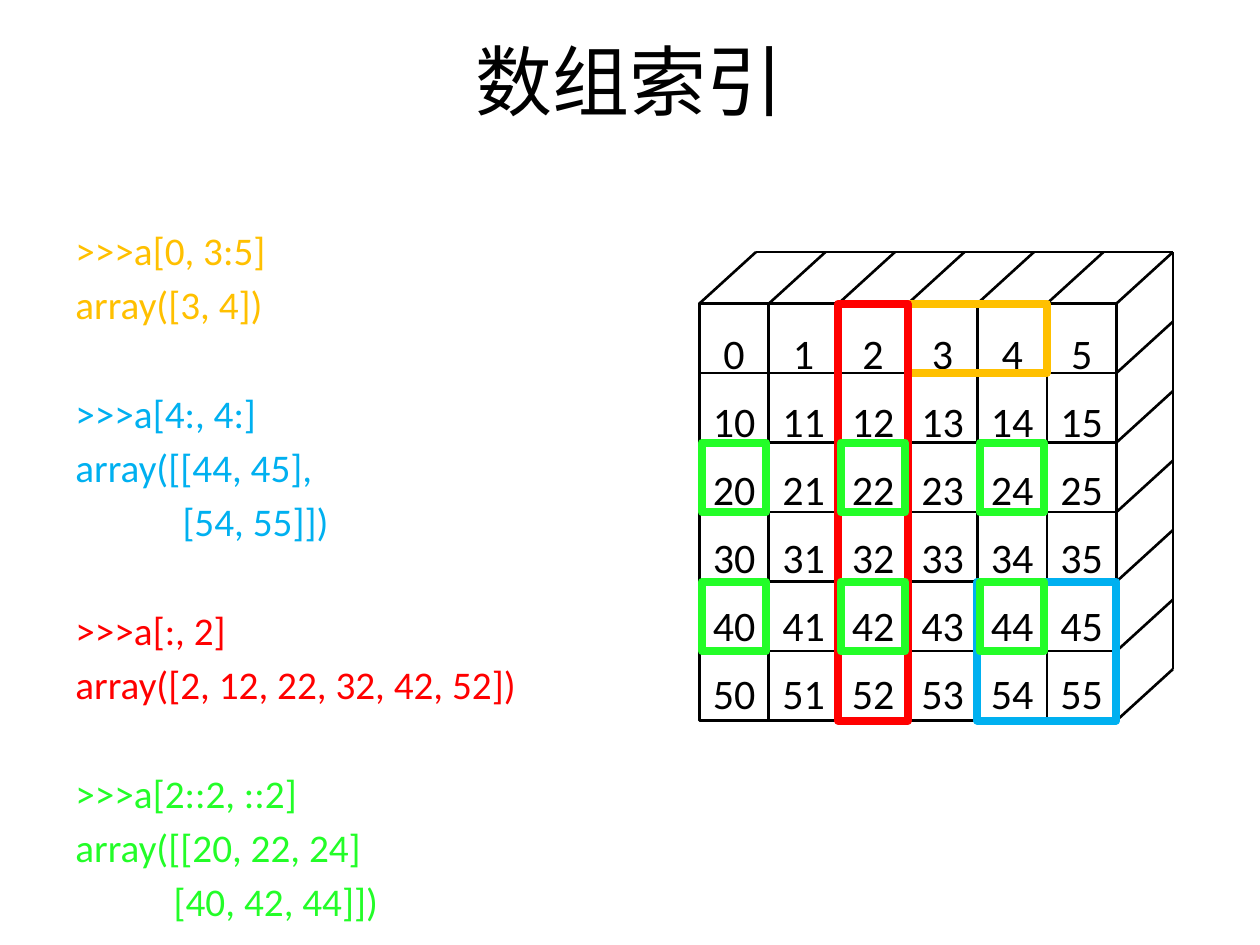
from lxml import etree
from pptx import Presentation
from pptx import util as u
from pptx.dml.color import RGBColor
from pptx.enum import shapes, text
from pptx.oxml import ns

BLACK = RGBColor(0x00, 0x00, 0x00)
ORANGE = RGBColor(0xFF, 0xC0, 0x00)
BLUE = RGBColor(0x00, 0xB0, 0xF0)
RED = RGBColor(0xFF, 0x00, 0x00)
GREEN = RGBColor(0x23, 0xFD, 0x28)

COUNT = 6
SIDE = 3.31
CELL = SIDE / COUNT
LEFT, TOP = 5.55, 2.41
RIGHT, BOTTOM = LEFT + SIDE, TOP + SIDE
DEPTH_X, DEPTH_Y = 0.45, 0.41

EXAMPLES = [
    (ORANGE, [(">>>a[0, 3:5]", 0), ("array([3, 4])", 0)]),
    (BLUE, [(">>>a[4:, 4:]", 0), ("array([[44, 45],", 0), ("[54, 55]])", 0.85)]),
    (RED, [(">>>a[:, 2]", 0), ("array([2, 12, 22, 32, 42, 52])", 0)]),
    (GREEN, [(">>>a[2::2, ::2]", 0), ("array([[20, 22, 24]", 0),
             ("[40, 42, 44]])", 0.78)]),
]
SELECTIONS = [(ORANGE, 0, 3, 1, 2), (RED, 0, 2, COUNT, 1), (BLUE, 4, 4, 2, 2)]


def apply(target, values):
    for name, value in values.items():
        setattr(target, name, value)


def inches(*lengths):
    return [u.Inches(length) for length in lengths]


def add_span(para, words, size, color):
    span = para.add_run()
    span.text = words
    apply(span.font, {"name": "Calibri", "size": u.Pt(size)})
    span.font.color.rgb = color


def add_title(page, words):
    title = page.shapes.title
    apply(title, dict(zip(("left", "top", "width", "height"),
                          inches(0.5, 0.01, 9, 1.25))))
    title.text_frame.vertical_anchor = text.MSO_ANCHOR.MIDDLE
    para = title.text_frame.paragraphs[0]
    para.alignment = text.PP_ALIGN.CENTER
    add_span(para, words, 44, BLACK)


def add_text_box(parent, left, top, width, height, margins):
    box = parent.shapes.add_textbox(*inches(left, top, width, height))
    frame = box.text_frame
    apply(frame, {"word_wrap": True, **margins})
    return frame


def next_para(frame, index):
    return frame.add_paragraph() if index else frame.paragraphs[0]


def add_examples(page):
    frame = add_text_box(page, 0.5, 1.75, 4.42, 4.95, {})
    lines = [(color, words, indent, group > 0 and row == 0)
             for group, (color, rows) in enumerate(EXAMPLES)
             for row, (words, indent) in enumerate(rows)]
    for index, (color, words, indent, starts_group) in enumerate(lines):
        para = next_para(frame, index)
        para.space_before = u.Pt(35.3 if starts_group else 4)
        if indent:
            para._p.get_or_add_pPr().set("marL", str(u.Inches(indent)))
        add_span(para, words, 22.4, color)


def add_line(parent, x1, y1, x2, y2):
    line = parent.shapes.add_connector(
        shapes.MSO_CONNECTOR.STRAIGHT, *inches(x1, y1, x2, y2))
    line.line.width = u.Pt(1.5)
    line.line.color.rgb = BLACK
    etree.SubElement(line._element.spPr, ns.qn("a:effectLst"))


def add_frame(parent, row, column, rows, columns, color, weight, inset=0):
    frame = parent.shapes.add_shape(
        shapes.MSO_SHAPE.RECTANGLE,
        *inches(LEFT + column * CELL + inset, TOP + row * CELL,
                columns * CELL - 2 * inset, rows * CELL))
    frame.shadow.inherit = False
    frame.fill.background()
    frame.line.width = u.Pt(weight)
    frame.line.color.rgb = color


def add_block(cube):
    add_frame(cube, 0, 0, COUNT, COUNT, BLACK, 2)
    for step in range(1, COUNT):
        offset = step * CELL
        add_line(cube, LEFT + offset, TOP, LEFT + offset, BOTTOM)
        add_line(cube, LEFT, TOP + offset, RIGHT, TOP + offset)
    back_top, back_right = TOP - DEPTH_Y, RIGHT + DEPTH_X
    add_line(cube, LEFT + DEPTH_X, back_top, back_right, back_top)
    add_line(cube, back_right, back_top, back_right, BOTTOM - DEPTH_Y)
    for step in range(COUNT + 1):
        x, y = LEFT + step * CELL, TOP + step * CELL
        add_line(cube, x + DEPTH_X, back_top, x, TOP)
        if step:
            add_line(cube, back_right, y - DEPTH_Y, RIGHT, y)


def add_tab_stops(para):
    stops = etree.SubElement(para._p.get_or_add_pPr(), ns.qn("a:tabLst"))
    for column in range(COUNT):
        position = u.Inches((column + 0.5) * CELL)
        etree.SubElement(stops, ns.qn("a:tab"), pos=str(position), algn="ctr")


def add_numbers(cube):
    frame = add_text_box(cube, LEFT, TOP, SIDE, SIDE,
                         {"margin_left": 0, "margin_right": 0})
    for row in range(COUNT):
        para = next_para(frame, row)
        para.line_spacing = 1.35
        add_tab_stops(para)
        numbers = "".join(f"\t{row * 10 + column}" for column in range(COUNT))
        add_span(para, numbers, 24, BLACK)


def add_selections(cube):
    for color, row, column, rows, columns in SELECTIONS:
        add_frame(cube, row, column, rows, columns, color, 4.5)
    for row in range(2, COUNT, 2):
        for column in range(0, COUNT, 2):
            add_frame(cube, row, column, 1, 1, GREEN, 4.5, inset=0.02)


def main():
    deck = Presentation()
    apply(deck, {"slide_width": u.Inches(10), "slide_height": u.Inches(7.5)})
    page = deck.slides.add_slide(deck.slide_layouts[5])
    add_title(page, "数组索引")
    add_examples(page)
    cube = page.shapes.add_group_shape()
    add_block(cube)
    add_numbers(cube)
    add_selections(cube)
    deck.save("out.pptx")


if __name__ == "__main__":
    main()
